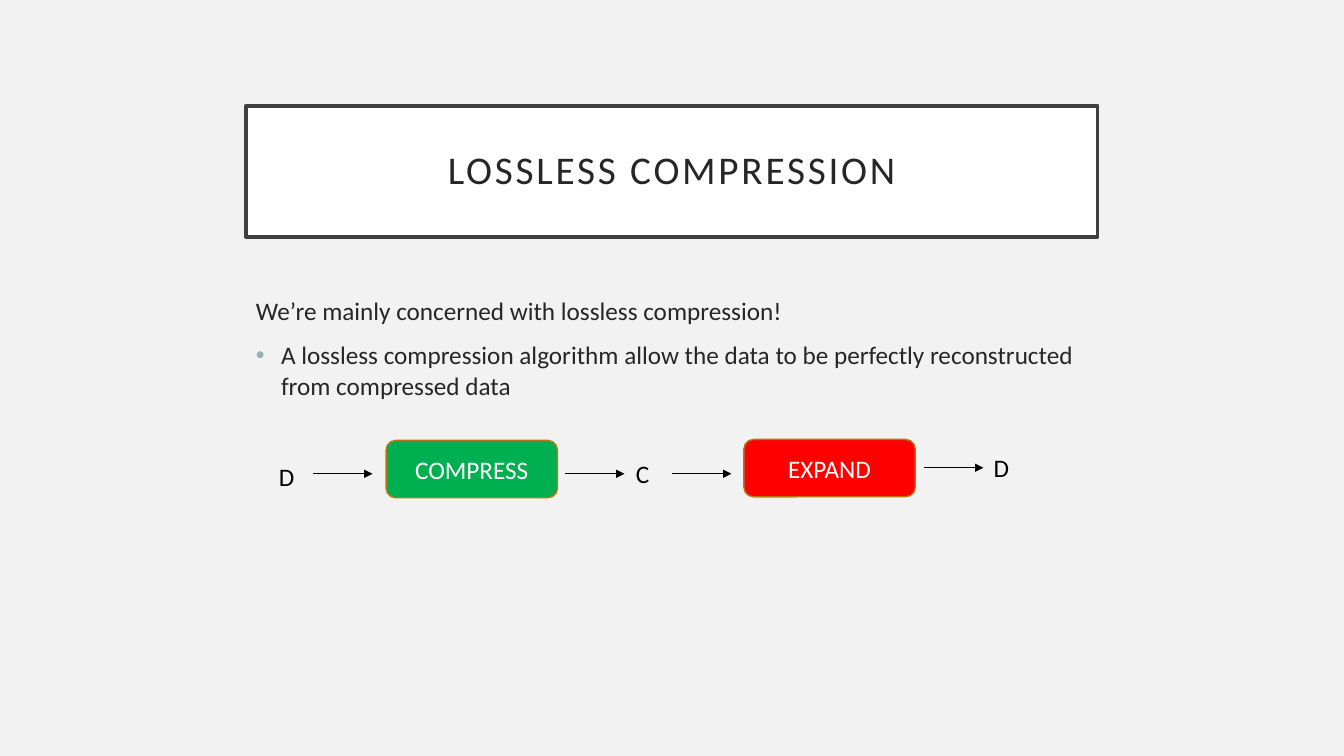
from lxml import etree
from pptx import Presentation
from pptx.dml.color import RGBColor
from pptx.enum.shapes import MSO_CONNECTOR, MSO_SHAPE
from pptx.enum.text import MSO_ANCHOR, MSO_AUTO_SIZE, PP_ALIGN
from pptx.oxml.ns import qn
from pptx.util import Pt

STRAIGHT = MSO_CONNECTOR.STRAIGHT
ROUNDED = MSO_SHAPE.ROUNDED_RECTANGLE
MIDDLE = MSO_ANCHOR.MIDDLE
CENTER = PP_ALIGN.CENTER
NO_FIT = MSO_AUTO_SIZE.NONE
GROW = MSO_AUTO_SIZE.SHAPE_TO_FIT_TEXT

BACKGROUND = RGBColor(0xF2, 0xF2, 0xF2)
WHITE = RGBColor(0xFF, 0xFF, 0xFF)
BLACK = RGBColor(0, 0, 0)
INK = RGBColor(0x26, 0x26, 0x26)
FRAME = RGBColor(0x40, 0x40, 0x40)
BULLET = RGBColor(0x9B, 0xAF, 0xB5)
GREEN = RGBColor(0x00, 0xB0, 0x50)
RED = RGBColor(0xFF, 0x00, 0x00)
OCHRE = RGBColor(0xB6, 0x78, 0x15)

# Boxes are left, top, width, height in points.
TITLE_BOX = (175.7, 75.6, 608.4, 93.6)
BODY_BOX = (175.7, 207.4, 608.4, 244.1)
FLOW_BOX = (192.2, 313.9, 544.4, 41.8)

STEP_SIZE = (122.4, 41)
LABEL_SIZE = (25.9, 28.8)
ARROW_LENGTH = 42.2


def set_values(target, values):
    for name, value in values.items():
        setattr(target, name, value)


def place(shape, box):
    names = ("left", "top", "width", "height")
    set_values(shape, {name: Pt(value) for name, value in zip(names, box)})


def write(para, text, color, size=18):
    span = para.add_run()
    span.text = text
    set_values(span.font, {"name": "Calibri", "size": Pt(size), "bold": False})
    span.font.color.rgb = color
    return span


def paint(shape, fill, line, width):
    shape.fill.solid()
    shape.fill.fore_color.rgb = fill
    shape.line.color.rgb = line
    shape.line.width = Pt(width)


def add_title(page, box):
    title = page.shapes.title
    place(title, box)
    paint(title, WHITE, FRAME, 2.5)
    frame = title.text_frame
    sides = ("left", "top", "right", "bottom")
    set_values(frame, {f"margin_{side}": Pt(14.4) for side in sides})
    set_values(frame, {"vertical_anchor": MIDDLE, "word_wrap": True, "auto_size": NO_FIT})
    para = frame.paragraphs[0]
    set_values(para, {"alignment": CENTER, "line_spacing": 0.9})
    span = write(para, "LOSSLESS COMPRESSION", INK, 28)
    span.font._element.set("spc", "200")


def add_bullet(para, indent):
    settings = para._p.get_or_add_pPr()
    settings.set("marL", str(Pt(indent)))
    settings.set("indent", str(-Pt(indent)))
    color = etree.SubElement(settings, qn("a:buClr"))
    etree.SubElement(color, qn("a:srgbClr"), val=str(BULLET))
    etree.SubElement(settings, qn("a:buFont"), typeface="Arial")
    etree.SubElement(settings, qn("a:buChar"), char="•")


def add_body(page, box):
    frame = page.shapes.add_textbox(*map(Pt, box)).text_frame
    frame.word_wrap = True
    write(frame.paragraphs[0], "We’re mainly concerned with lossless compression!", INK)
    point = frame.add_paragraph()
    add_bullet(point, 18)
    point.space_before = Pt(10)
    write(point, "A lossless compression algorithm allow the data to be "
          "perfectly reconstructed from compressed data", INK)


def add_step(page, left, top, text, fill):
    step = page.shapes.add_shape(ROUNDED, *map(Pt, (left, top, *STEP_SIZE)))
    step.shadow.inherit = False
    paint(step, fill, OCHRE, 1)
    step.text_frame.vertical_anchor = MIDDLE
    para = step.text_frame.paragraphs[0]
    para.alignment = CENTER
    write(para, text, WHITE)


def add_label(page, left, top, text):
    label = page.shapes.add_textbox(*map(Pt, (left, top, *LABEL_SIZE)))
    set_values(label.text_frame, {"word_wrap": True, "auto_size": GROW})
    write(label.text_frame.paragraphs[0], text, BLACK)


def add_arrow(page, left, top):
    ends = (left, top, left + ARROW_LENGTH, top)
    arrow = page.shapes.add_connector(STRAIGHT, *map(Pt, ends))
    arrow.line.color.rgb = BLACK
    arrow.line.width = Pt(0.5)
    etree.SubElement(arrow.line._get_or_add_ln(), qn("a:tailEnd"), type="triangle")
    etree.SubElement(arrow._element.spPr, qn("a:effectLst"))


def add_flow(page, box):
    """Draw the chain from data to compressed data and back."""
    parts = (
        (add_label, 0, 12.2, "D"),
        (add_arrow, 31.7, 24.5),
        (add_step, 83.6, 0.7, "COMPRESS", GREEN),
        (add_arrow, 211.7, 24.5),
        (add_label, 254.9, 10.1, "C"),
        (add_arrow, 288, 24.5),
        (add_step, 339.2, 0, "EXPAND", RED),
        (add_arrow, 468, 20.2),
        (add_label, 510.5, 5.8, "D"),
    )
    left, top = box[:2]
    for add_part, across, down, *content in parts:
        add_part(page, left + across, top + down, *content)


def main():
    deck = Presentation()
    set_values(deck, {"slide_width": Pt(960), "slide_height": Pt(540)})
    page = deck.slides.add_slide(deck.slide_layouts[5])
    page.background.fill.solid()
    page.background.fill.fore_color.rgb = BACKGROUND
    add_title(page, TITLE_BOX)
    add_body(page, BODY_BOX)
    add_flow(page, FLOW_BOX)
    deck.save("out.pptx")


if __name__ == "__main__":
    main()
